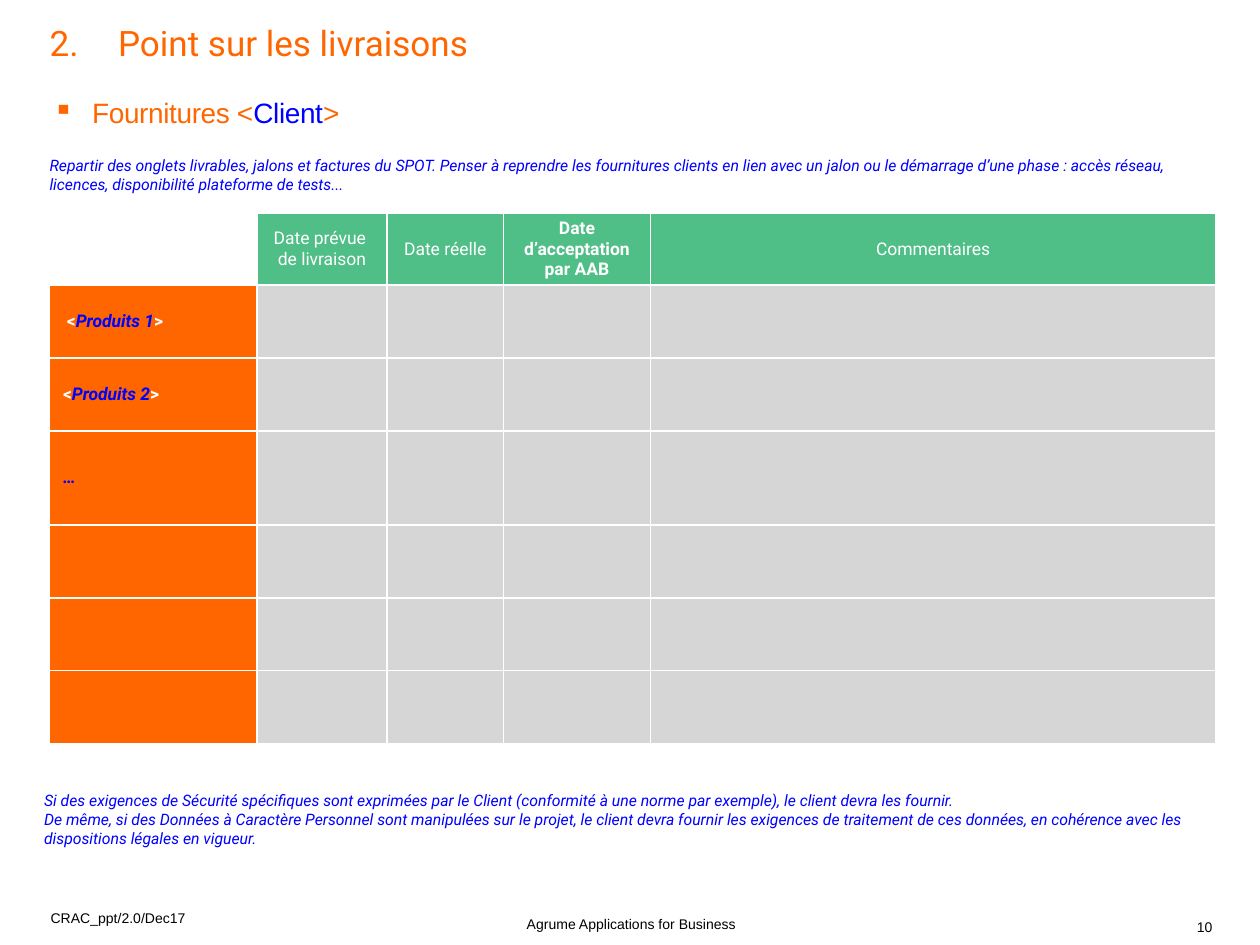
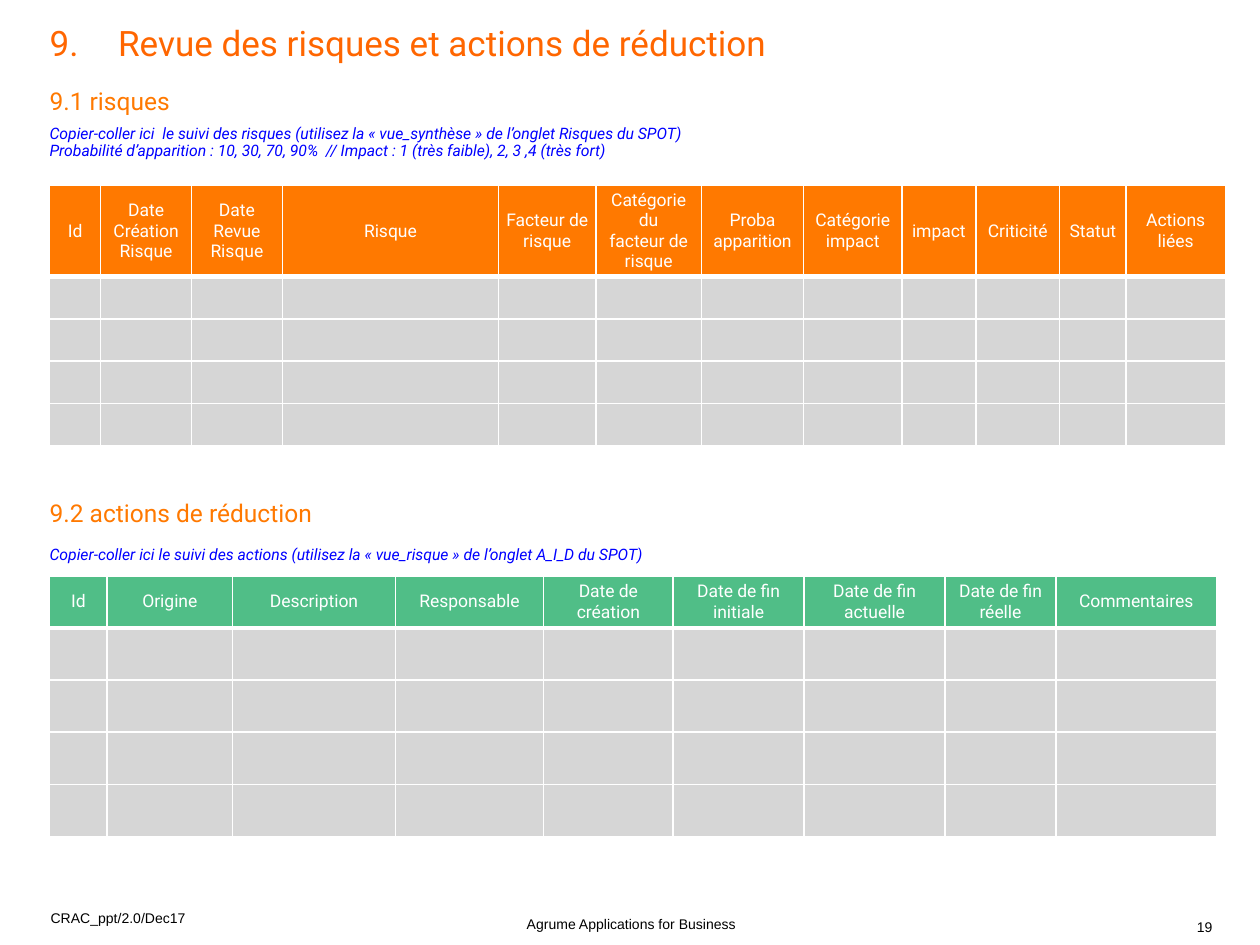
from dataclasses import dataclass

from lxml.etree import SubElement
from pptx import Presentation
from pptx.dml.color import RGBColor as RGB
from pptx.enum.text import MSO_ANCHOR as ANCHOR, PP_ALIGN as ALIGN
from pptx.oxml.ns import qn
from pptx.util import Cm, Pt


@dataclass(frozen=True)
class Style:
    size: float
    color: str
    font: str = "Roboto"
    bold: bool = False
    italic: bool = False


@dataclass(frozen=True)
class Theme:
    orange: str = "FF6600"
    amber: str = "FF7900"
    green: str = "50BE87"
    grey: str = "D6D6D6"
    blue: str = "0000FF"
    white: str = "FFFFFF"
    title: Style = Style(20, "FF6600")
    bullet: Style = Style(16, "FF6600", "Arial")
    section: Style = Style(14, "FF7900")
    note: Style = Style(9, "0000FF", italic=True)
    header: Style = Style(10, "FFFFFF")
    header_bold: Style = Style(10, "FFFFFF", bold=True)
    label: Style = Style(10, "FFFFFF", bold=True)
    label_name: Style = Style(10, "0000FF", bold=True, italic=True)
    footer: Style = Style(8, "000000", "Arial")


THEME = Theme()
LEFT, WIDTH = 1, 23.52


def format_run(r, style):
    f = r.font
    f.name, f.size = style.font, Pt(style.size)
    f.bold, f.italic = style.bold, style.italic
    f.color.rgb = RGB.from_string(style.color)


def write(p, text, style):
    p.text = text
    for r in p.runs:
        format_run(r, style)


def write_field(p, name, style, name_style):
    """Write a name to be filled in, between angle brackets."""
    before, _, after = name.partition("<")
    field, _, after = after.partition(">")
    for text, look in ((before + "<", style), (field, name_style), (">" + after, style)):
        r = p.add_run()
        r.text = text
        format_run(r, look)


def clear_margins(tf):
    tf.margin_left = tf.margin_right = tf.margin_top = tf.margin_bottom = 0


def add_box(slide, left, top, width, height, anchor=ANCHOR.TOP):
    tf = slide.shapes.add_textbox(Cm(left), Cm(top), Cm(width), Cm(height)).text_frame
    clear_margins(tf)
    tf.word_wrap = True
    tf.vertical_anchor = anchor
    return tf


def add_text(slide, box, text, style, spacing=None, align=None, anchor=ANCHOR.TOP):
    tf = add_box(slide, *box, anchor)
    tf.text = text
    for p in tf.paragraphs:
        p.line_spacing, p.alignment = spacing, align
        for r in p.runs:
            format_run(r, style)
    return tf


def add_title(slide, number, text):
    sp = slide.shapes.title
    sp.left, sp.top, sp.width, sp.height = Cm(LEFT), Cm(0.53), Cm(WIDTH), Cm(2.29)
    tf = sp.text_frame
    clear_margins(tf)
    tf.vertical_anchor = ANCHOR.TOP
    p = tf.paragraphs[0]
    write(p, f"{number}.\t{text}", THEME.title)
    p.alignment, p.line_spacing = ALIGN.LEFT, 0.9
    tabs = SubElement(p._p.get_or_add_pPr(), qn("a:tabLst"))
    SubElement(tabs, qn("a:tab"), pos=str(Cm(1.38)), algn="l")


def add_footer(slide, number):
    add_text(slide, (24.13, 18.44, 0.76, 0.41), str(number), THEME.footer,
             0.85, anchor=ANCHOR.BOTTOM)
    add_text(slide, (8.31, 18.44, 8.84, 0.41), "Agrume Applications for Business",
             THEME.footer, 0.85, ALIGN.CENTER, ANCHOR.MIDDLE)
    add_text(slide, (1.02, 18.34, 2.79, 0.66), "CRAC_ppt/2.0/Dec17", THEME.footer)


def add_bullet(slide, text):
    p = add_box(slide, 1.07, 2.01, WIDTH, 2.29).paragraphs[0]
    write_field(p, text, THEME.bullet, Style(16, THEME.blue, "Arial"))
    for r in p.runs:
        r.font._element.set("spc", "-20")
    p.line_spacing = 0.9
    pPr = p._p.get_or_add_pPr()
    pPr.set("marL", str(Cm(0.79)))
    pPr.set("indent", str(-Cm(0.79)))
    SubElement(pPr, qn("a:buChar"), char="▪")


def set_borders(cell, top, bottom):
    tcPr = cell._tc.get_or_add_tcPr()
    for side, width in (("L", 1), ("R", 1), ("T", top), ("B", bottom)):
        ln = SubElement(tcPr, qn(f"a:ln{side}"), w=str(Pt(width)))
        fill = SubElement(ln, qn("a:solidFill"))
        SubElement(fill, qn("a:srgbClr"), val=THEME.white)


def fill_cell(cell, color):
    cell.fill.solid()
    cell.fill.fore_color.rgb = RGB.from_string(color)


def add_grid(slide, top, widths, heights, headers, color, rule, side_margin):
    """Add a table with a coloured header row, a rule below it and grey empty cells."""
    frame = slide.shapes.add_table(len(heights), len(widths), Cm(LEFT), Cm(top),
                                   Cm(sum(widths)), Cm(sum(heights)))
    table = frame.table
    table.first_row = table.horz_banding = False
    for column, width in zip(table.columns, widths):
        column.width = Cm(width)
    for i, (row, height) in enumerate(zip(table.rows, heights)):
        row.height = Cm(height)
        for cell in row.cells:
            cell.margin_top = cell.margin_bottom = 0
            cell.margin_left = cell.margin_right = Cm(side_margin)
            cell.vertical_anchor = ANCHOR.MIDDLE
            set_borders(cell, rule if i == 1 else 1, rule if i == 0 else 1)
            fill_cell(cell, THEME.grey if i else color)
    for cell, text in zip(table.rows[0].cells, headers):
        p = cell.text_frame.paragraphs[0]
        write(p, text, THEME.header)
        p.alignment, p.space_before = ALIGN.CENTER, Pt(3)
    return table


def add_deliveries_table(slide):
    row = 1.47
    table = add_grid(
        slide, 4.29, [4.18, 2.62, 2.35, 2.96, 11.4],
        [1.46, row, row, 1.89, row, row, row],
        ["", "Date prévue \nde livraison", "Date réelle", "Date d’acceptation par AAB",
         "Commentaires"],
        THEME.green, rule=1, side_margin=0.18)
    table.cell(0, 0).fill.background()
    for cell in table.rows[0].cells:
        cell.text_frame.paragraphs[0].space_after = Pt(6)
    format_run(table.cell(0, 3).text_frame.paragraphs[0].runs[0], THEME.header_bold)

    for i in range(1, len(table.rows)):
        fill_cell(table.cell(i, 0), THEME.orange)
    for i, (text, margin) in enumerate(
            [("<Produits 1>", 0.35), ("<Produits 2>", 0.27), ("…", 0.27)], 1):
        cell = table.cell(i, 0)
        cell.margin_left = Cm(margin)
        p = cell.text_frame.paragraphs[0]
        p.space_before = p.space_after = Pt(3)
        if "<" in text:
            write_field(p, text, THEME.label, THEME.label_name)
        else:
            write(p, text, THEME.label_name)


def build_deliveries(slide):
    add_footer(slide, 10)
    add_title(slide, 2, "Point sur les livraisons")
    add_deliveries_table(slide)
    add_bullet(slide, "Fournitures <Client>")
    add_text(slide, (LEFT, 3.15, WIDTH, 0.74),
             "Repartir des onglets livrables, jalons et factures du SPOT. Penser à reprendre "
             "les fournitures clients en lien avec un jalon ou le démarrage d’une phase : "
             "accès réseau, licences, disponibilité plateforme de tests...", THEME.note)
    add_text(slide, (0.89, 15.95, 23.7, 2.39),
             "Si des exigences de Sécurité spécifiques sont exprimées par le Client "
             "(conformité à une norme par exemple), le client devra les fournir.\n"
             "De même, si des Données à Caractère Personnel sont manipulées sur le projet, "
             "le client devra fournir les exigences de traitement de ces données, en "
             "cohérence avec les dispositions légales en vigueur.", THEME.note)


def build_risks(slide):
    add_footer(slide, 19)
    add_title(slide, 9, "Revue des risques et actions de réduction")

    add_text(slide, (LEFT, 1.73, 10.59, 0.61), "9.1 risques", THEME.section)
    add_text(slide, (LEFT, 2.54, WIDTH, 1.3),
             "Copier-coller ici  le suivi des risques (utilisez la « vue_synthèse » de "
             "l’onglet Risques du SPOT)\vProbabilité d’apparition : 10, 30, 70, 90%  // "
             "Impact : 1 (très faible), 2, 3 ,4 (très fort)", THEME.note, 0.9)
    add_grid(slide, 3.74,
             [1.03, 1.83, 1.83, 4.36, 1.96, 2.13, 2.06, 1.98, 1.49, 1.69, 1.34, 2],
             [1.84] + [0.85] * 4,
             ["Id", "Date Création Risque", "Date Revue Risque", "Risque",
              "Facteur de risque", "Catégorie du\nfacteur de risque", "Proba apparition",
              "Catégorie impact", "impact", "Criticité", "Statut", "Actions liées"],
             THEME.amber, rule=3, side_margin=0.13)

    add_text(slide, (LEFT, 10.03, 10.59, 0.61), "9.2 actions de réduction", THEME.section)
    add_text(slide, (LEFT, 11.02, 24.4, 0.51),
             "Copier-coller ici le suivi des actions (utilisez la « vue_risque » de "
             "l’onglet A_I_D du SPOT)", THEME.note, 0.9)
    add_grid(slide, 11.61, [1.16, 2.53, 3.28, 2.99, 2.61, 2.64, 2.84, 2.24, 3.23],
             [1.05] * 5,
             ["Id", "Origine", "Description", "Responsable", "Date de création",
              "Date de fin initiale", "Date de fin actuelle", "Date de fin réelle",
              "Commentaires"],
             THEME.green, rule=3, side_margin=0.13)


def main():
    prs = Presentation()
    prs.slide_width, prs.slide_height = Cm(25.4), Cm(19.05)
    title_only = prs.slide_layouts[5]
    for build in (build_deliveries, build_risks):
        build(prs.slides.add_slide(title_only))
    prs.save("out.pptx")


if __name__ == "__main__":
    main()
